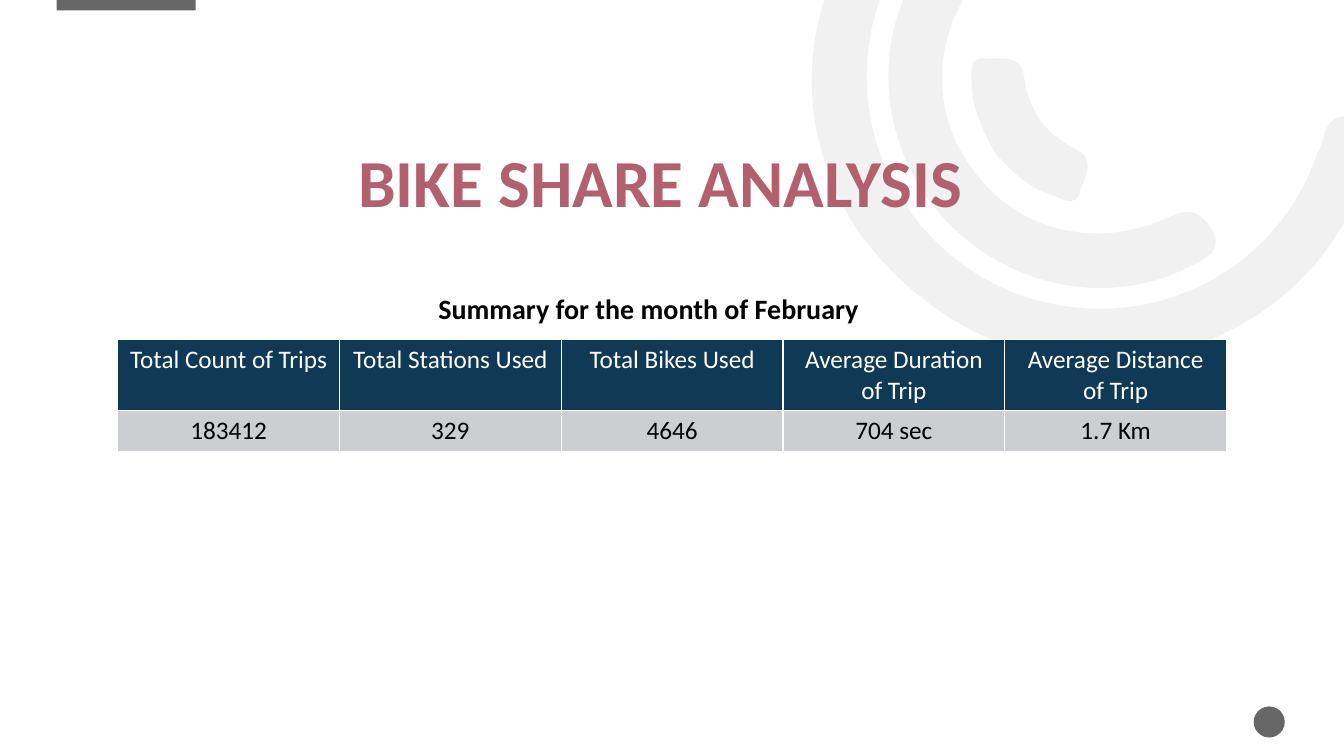
from copy import deepcopy

from lxml import etree
from pptx import Presentation
from pptx.dml.color import RGBColor
from pptx.enum.shapes import MSO_SHAPE
from pptx.enum.text import MSO_ANCHOR, PP_ALIGN
from pptx.oxml import parse_xml
from pptx.oxml.ns import qn
from pptx.util import Pt

RECTANGLE, OVAL = MSO_SHAPE.RECTANGLE, MSO_SHAPE.OVAL
LEFT, CENTER = PP_ALIGN.LEFT, PP_ALIGN.CENTER
MIDDLE = MSO_ANCHOR.MIDDLE
COLORS = {
    "arc": "E7E6E6", "accent": "666666", "title": "B2606E", "header": "0F3955",
    "body": "CCCED1", "white": "FFFFFF", "black": "000000",
}
DRAWING = "http://schemas.openxmlformats.org/drawingml/2006/main"


def write_text(frame, text, size, color, bold=False, align=CENTER, spacing=None):
    frame.word_wrap = True
    paragraph = frame.paragraphs[0]
    paragraph.alignment = align
    if spacing:
        paragraph.line_spacing = spacing
    run = paragraph.add_run()
    run.text = text
    run.font.name = "Calibri"
    run.font.size = Pt(size)
    run.font.bold = bold
    run.font.color.rgb = RGBColor.from_string(COLORS[color])
    return run


def paint(shape, color):
    shape.shadow.inherit = False
    shape.fill.solid()
    shape.fill.fore_color.rgb = RGBColor.from_string(COLORS[color])
    shape.line.fill.background()


presentation = Presentation()
presentation.slide_width, presentation.slide_height = Pt(960), Pt(540)
slide = presentation.slides.add_slide(presentation.slide_layouts[6])

# Background arcs: a start point, then two control points and an end per curve
outer_arc = [
    (612.7, 164.9),
    (575.3, 107.3), (566.6, 36), (603.4, -36),
    (640.8, -109.4), (702.7, -146.2), (784.8, -149),
    (795.6, -149), (807.1, -151.2), (814.3, -140.4),
    (823.7, -126), (811.4, -110.9), (790.6, -110.9),
    (696.2, -110.9), (622.8, -42.5), (619.2, 49),
    (616.3, 130.3), (673.9, 202.3), (753.1, 217.4),
    (835.2, 233.3), (914.4, 187.9), (941, 109.4),
    (942.5, 106.6), (943.9, 103.7), (944.6, 100.8),
    (947.5, 85.7), (955.4, 79.9), (971.3, 84.2),
    (988.6, 89.3), (984.2, 101.5), (979.9, 112.3),
    (960.5, 176.4), (920.2, 221), (857.5, 245.5),
    (770.4, 278.6), (673.9, 248.4), (612.7, 164.9),
]
middle_arc = [
    (663.8, 143.3),
    (620.6, 82.8), (625.7, 5), (676.8, -49),
    (684.7, -56.9), (692.6, -68.4), (705.6, -56.2),
    (716.4, -46.1), (717.8, -36), (704.9, -23),
    (666, 18.7), (662.4, 77.8), (694.8, 121),
    (725.8, 164.9), (783.4, 179.3), (835.9, 154.8),
    (851, 147.6), (859, 152.6), (866.2, 164.9),
    (873.4, 180), (861.8, 184.3), (851.8, 189.4),
    (789.1, 223.2), (707.8, 203), (663.8, 143.3),
]
inner_arc = [
    (710.6, 108.7),
    (702, 93.6), (694.1, 77), (694.1, 59),
    (694.1, 52.6), (691.9, 41), (702.7, 41.8),
    (714.2, 42.5), (729.4, 38.2), (731.5, 54.7),
    (735.1, 79.2), (745.9, 95), (768.2, 106.6),
    (783.4, 113), (774.7, 126.7), (771.8, 136.1),
    (769, 148.3), (759.6, 142.6), (752.4, 139.7),
    (735.1, 134.6), (722.2, 122.4), (710.6, 108.7),
]
for points in (outer_arc, middle_arc, inner_arc):
    start, *others = [(Pt(x), Pt(y)) for x, y in points]
    builder = slide.shapes.build_freeform(*start)
    builder.add_line_segments(others, close=True)
    arc = builder.convert_to_shape()
    paint(arc, "arc")
    fill_color = arc._element.spPr.find(qn("a:solidFill"))[0]
    etree.SubElement(fill_color, qn("a:alpha"), val="53000")
    # Join every three segments into one Bezier curve
    segments = list(arc._element.iter(qn("a:lnTo")))
    for first in range(0, len(segments), 3):
        curve = etree.Element(qn("a:cubicBezTo"))
        segments[first].addprevious(curve)
        for segment in segments[first:first + 3]:
            curve.append(segment[0])
            segment.getparent().remove(segment)

# Top tab and page dot
for kind, left, top, width, height in (
    (RECTANGLE, 40.5, -1.2, 99.2, 8.6),
    (OVAL, 895.5, 504.6, 22.2, 22.2),
):
    paint(slide.shapes.add_shape(kind, Pt(left), Pt(top), Pt(width), Pt(height)), "accent")

# Title, closed by a line break of the same size
title = slide.shapes.add_textbox(Pt(75.9), Pt(110.9), Pt(792), Pt(100.8)).text_frame
title.vertical_anchor = MIDDLE
title_run = write_text(title, "BIKE SHARE ANALYSIS", size=48, color="title",
                       bold=True, spacing=0.9)
title.paragraphs[0].add_line_break()
title_format = title_run._r.rPr
title_run._r.getnext().append(deepcopy(title_format))
end_format = etree.SubElement(title.paragraphs[0]._p, qn("a:endParaRPr"))
end_format.set("sz", title_format.get("sz"))
end_format.extend(deepcopy(list(title_format)))

# Summary table
rows = [
    ["Total Count of Trips", "Total Stations Used", "Total Bikes Used",
     "Average Duration of Trip", "Average Distance of Trip"],
    ["183412", "329", "4646", "704 sec", "1.7 Km"],
]
row_styles = [(50.6, "header", "white"), (29.2, "body", "black")]
table = slide.shapes.add_table(2, 5, Pt(84.1), Pt(242.6), Pt(792), Pt(79.8)).table
for row_index, (values, (height, fill, color)) in enumerate(zip(rows, row_styles)):
    table.rows[row_index].height = Pt(height)
    for column_index, value in enumerate(values):
        cell = table.cell(row_index, column_index)
        cell.fill.solid()
        cell.fill.fore_color.rgb = RGBColor.from_string(COLORS[fill])
        write_text(cell.text_frame, value, size=18, color=color)
        properties = cell._tc.get_or_add_tcPr()
        for position, side in enumerate("LRTB"):
            properties.insert(position, parse_xml(
                f'<a:ln{side} xmlns:a="{DRAWING}" w="{Pt(1)}"><a:solidFill>'
                f'<a:srgbClr val="{COLORS["white"]}"/></a:solidFill></a:ln{side}>'))

# Table caption
caption = slide.shapes.add_textbox(Pt(306), Pt(204.5), Pt(332), Pt(31.5)).text_frame
write_text(caption, "Summary for the month of February", size=20, color="black",
           bold=True, align=LEFT)

presentation.save("out.pptx")
